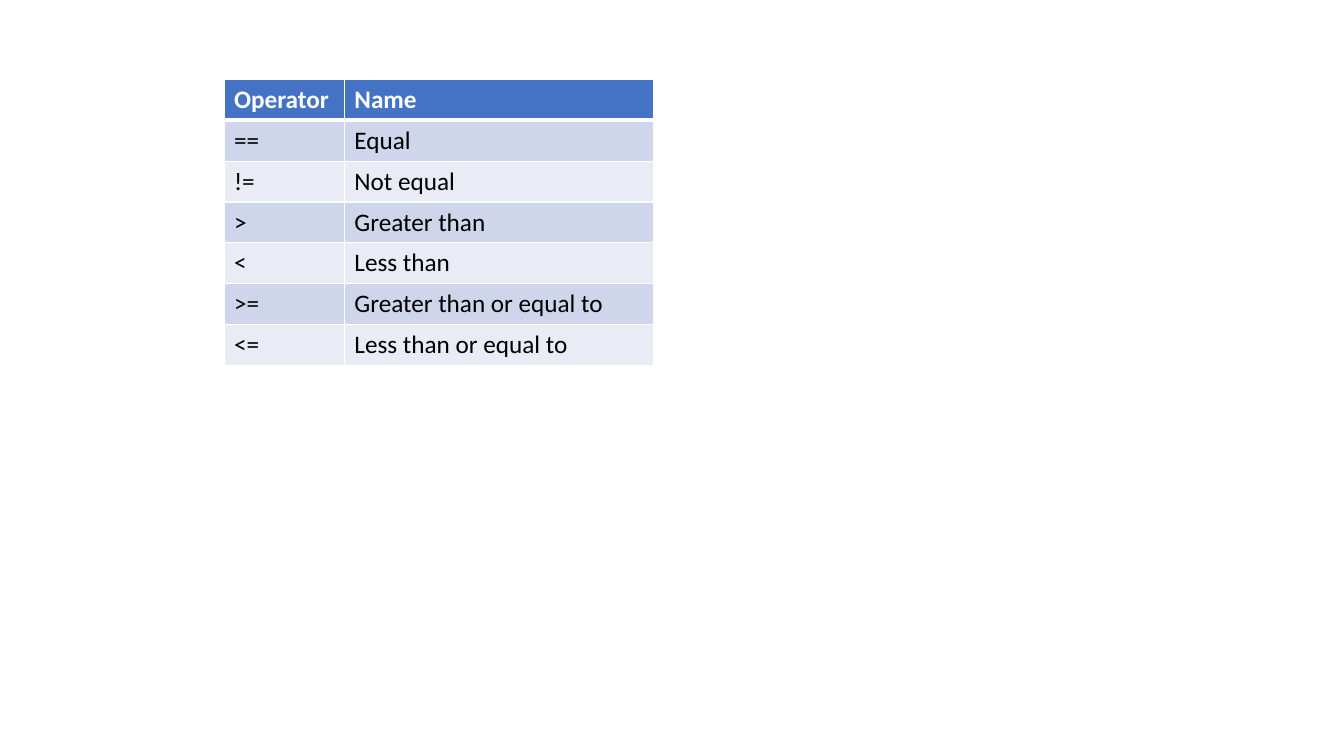
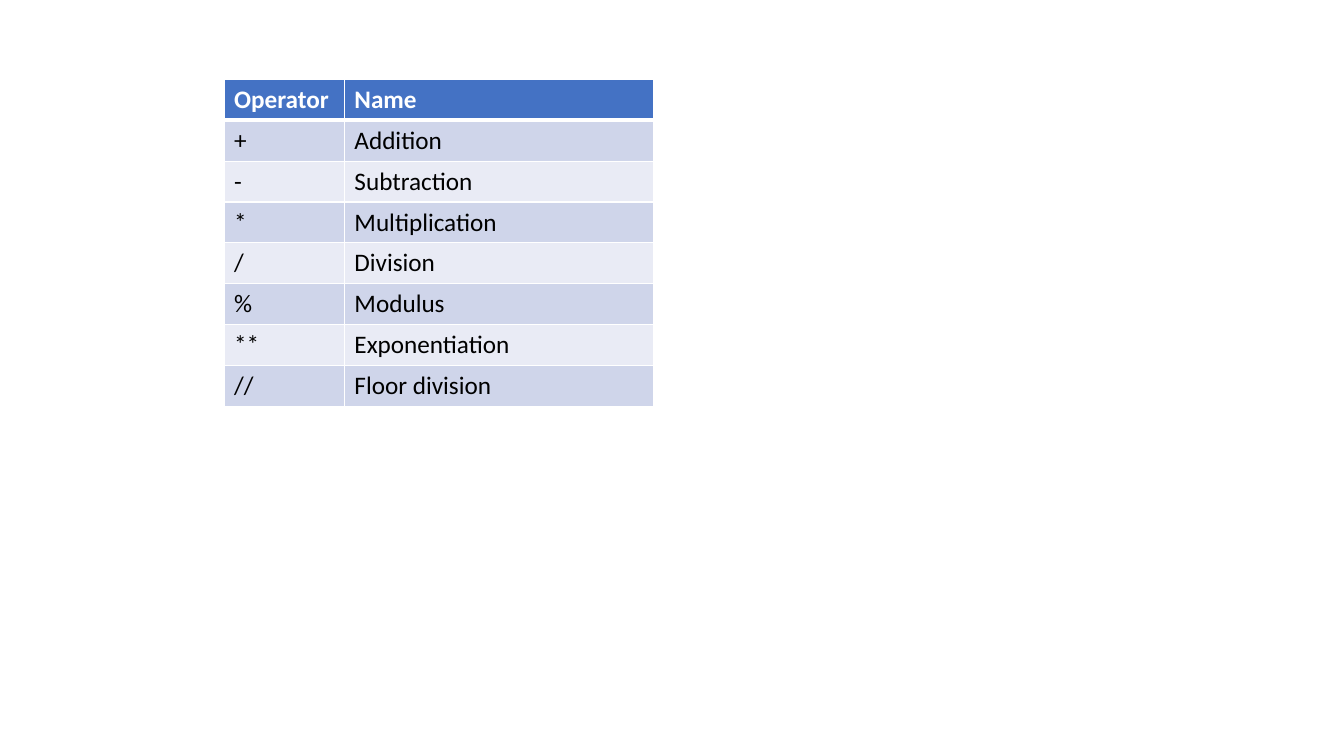
from lxml import etree
from pptx import Presentation
from pptx import util as u
from pptx.dml.color import RGBColor
from pptx.oxml.ns import qn

COLORS = {
    "header": "4472C4",
    "odd_row": "CFD5EA",
    "even_row": "E9EBF5",
    "header_text": "FFFFFF",
    "body_text": "000000",
    "border": "FFFFFF",
}
FONT = "Calibri"
TEXT_SIZE = u.Pt(18)
ROW_HEIGHT = u.Pt(29.2)
THIN, THICK = u.Pt(1), u.Pt(3)
COLUMN_SHARES = (0.28, 0.72)
HEADINGS = ("Operator", "Name")

COMPARISON = [
    ("==", "Equal"),
    ("!=", "Not equal"),
    (">", "Greater than"),
    ("<", "Less than"),
    (">=", "Greater than or equal to"),
    ("<=", "Less than or equal to"),
]
ARITHMETIC = [
    ("+", "Addition"),
    ("-", "Subtraction"),
    ("*", "Multiplication"),
    ("/", "Division"),
    ("%", "Modulus"),
    ("**", "Exponentiation"),
    ("//", "Floor division"),
]


def set_borders(cell, row):
    widths = {
        "a:lnL": THIN,
        "a:lnR": THIN,
        "a:lnT": THICK if row == 1 else THIN,
        "a:lnB": THICK if row == 0 else THIN,
    }
    properties = cell._tc.get_or_add_tcPr()
    for side, width in widths.items():
        line = etree.SubElement(properties, qn(side), w=str(int(width)))
        fill = etree.SubElement(line, qn("a:solidFill"))
        etree.SubElement(fill, qn("a:srgbClr"), val=COLORS["border"])


def style_cell(cell, row, content):
    set_borders(cell, row)
    fill_name = "header" if row == 0 else "odd_row" if row % 2 else "even_row"
    cell.fill.solid()
    cell.fill.fore_color.rgb = RGBColor.from_string(COLORS[fill_name])
    span = cell.text_frame.paragraphs[0].add_run()
    span.text = content
    span.font.name = FONT
    span.font.size = TEXT_SIZE
    span.font.bold = row == 0
    text_name = "header_text" if row == 0 else "body_text"
    span.font.color.rgb = RGBColor.from_string(COLORS[text_name])


def add_operator_table(page, box, operators):
    left, top, width = box
    rows = [HEADINGS, *operators]
    table = page.shapes.add_table(
        len(rows), len(HEADINGS), left, top, width, ROW_HEIGHT * len(rows)
    ).table
    for column, share in zip(table.columns, COLUMN_SHARES):
        column.width = int(width * share)
    for row, contents in enumerate(rows):
        table.rows[row].height = ROW_HEIGHT
        for column, content in enumerate(contents):
            style_cell(table.cell(row, column), row, content)


def add_operator_page(deck, operators):
    page = deck.slides.add_slide(deck.slide_layouts[6])
    box = (
        deck.slide_width // 6,
        int(deck.slide_height * 0.105),
        int(deck.slide_width * 0.32),
    )
    add_operator_table(page, box, operators)


deck = Presentation()
deck.slide_width, deck.slide_height = u.Inches(13.33), u.Inches(7.5)
for operators in (COMPARISON, ARITHMETIC):
    add_operator_page(deck, operators)
deck.save("out.pptx")
